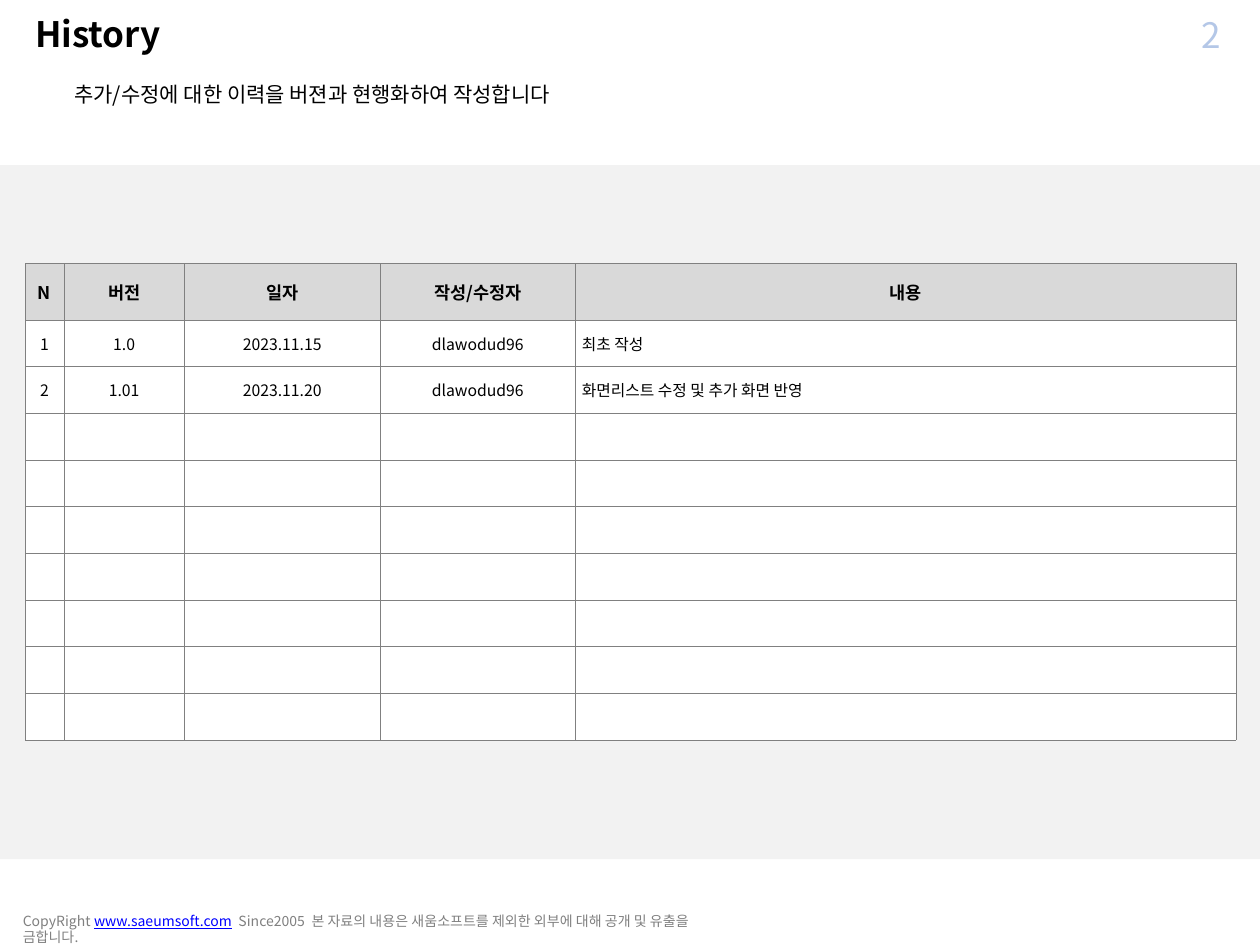
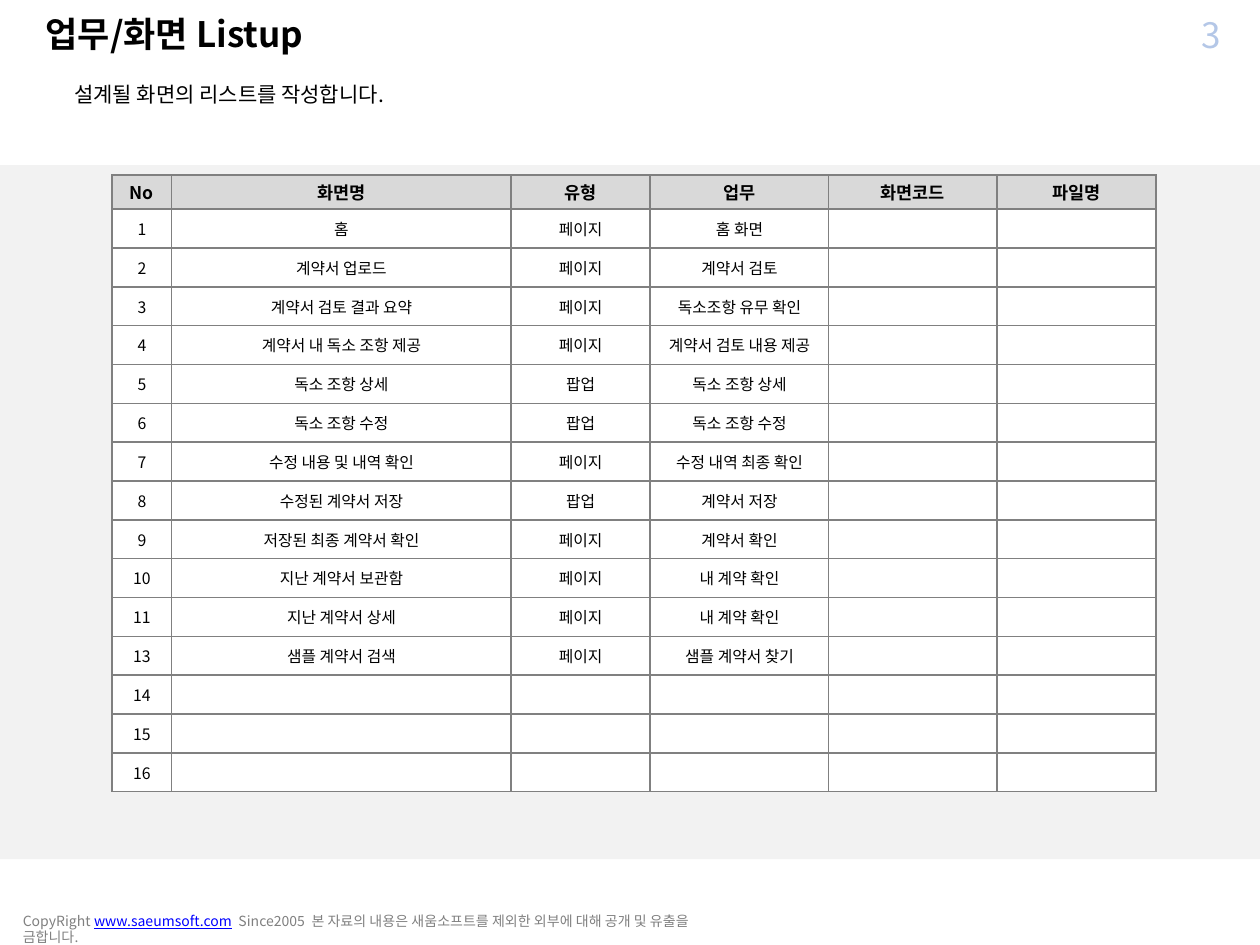
"""Build the history and screen-list pages of a screen design document."""
from dataclasses import dataclass

from lxml import etree
from pptx import Presentation
from pptx import util as u
from pptx.dml.color import RGBColor
from pptx.enum import shapes, text
from pptx.oxml.ns import qn


@dataclass(frozen=True)
class Theme:
    font: str = "Noto Sans CJK KR"
    ink: str = "000000"
    paper: str = "FFFFFF"
    band: str = "F2F2F2"
    header: str = "D9D9D9"
    grey: str = "808080"
    link: str = "0000FF"
    number: str = "B4C7E7"
    title_size: int = 20
    lead_size: int = 12
    header_size: int = 10
    body_size: int = 9
    footer_size: int = 8


theme = Theme()
LEFT, CENTER = text.PP_ALIGN.LEFT, text.PP_ALIGN.CENTER
TOP, MIDDLE = text.MSO_ANCHOR.TOP, text.MSO_ANCHOR.MIDDLE


def add_span(para, words, size, color, **extra):
    span = para.add_run()
    span.text = words
    formats = {"name": theme.font, "size": u.Pt(size), "bold": False, **extra}
    for name, value in formats.items():
        setattr(span.font, name, value)
    span.font.color.rgb = RGBColor.from_string(color)
    latin = span.font._element.find(qn("a:latin"))
    latin.addnext(latin.makeelement(qn("a:ea"), {"typeface": theme.font}))


def add_borders(cell, width):
    properties = cell._tc.get_or_add_tcPr()
    for position, side in enumerate(("lnL", "lnR", "lnT", "lnB")):
        line = etree.Element(qn(f"a:{side}"), w=str(u.Pt(width)))
        fill = etree.SubElement(line, qn("a:solidFill"))
        etree.SubElement(fill, qn("a:srgbClr"), val=theme.grey)
        properties.insert(position, line)


footer_spans = [
    ("CopyRight ", theme.grey, False),
    ("www.saeumsoft.com", theme.link, True),
    ("  Since2005  본 자료의 내용은 새움소프트를 제외한 외부에 대해 공개 및 유출을 금합니다.",
     theme.grey, False),
]

history = {
    "title": "History",
    "title_left": 16.5,
    "lead": "추가/수정에 대한 이력을 버젼과 현행화하여 작성합니다",
    "origin": (14.4, 150.6),
    "columns": [22, 69, 111.75, 111.75, 377.25],
    "heights": (32.2, 26.7),
    "border": 0.25,
    "left_column": 4,
    "header": ["N", "버전", "일자", "작성/수정자", "내용"],
    "rows": [
        ["1", "1.0", "2023.11.15", "dlawodud96", "최초 작성"],
        ["2", "1.01", "2023.11.20", "dlawodud96", "화면리스트 수정 및 추가 화면 반영"],
    ] + [[]] * 7,
}

screens = {
    "title": "업무/화면 Listup",
    "title_left": 22.5,
    "lead": "설계될 화면의 리스트를 작성합니다.",
    "origin": (64.1, 100.1),
    "columns": [34, 194, 79.5, 102, 96.25, 90.75],
    "heights": (19.4, 22.2),
    "border": 1,
    "left_column": None,
    "header": ["No", "화면명", "유형", "업무", "화면코드", "파일명"],
    "rows": [
        ["1", "홈", "페이지", "홈 화면"],
        ["2", "계약서 업로드", "페이지", "계약서 검토"],
        ["3", "계약서 검토 결과 요약", "페이지", "독소조항 유무 확인"],
        ["4", "계약서 내 독소 조항 제공", "페이지", "계약서 검토 내용 제공"],
        ["5", "독소 조항 상세", "팝업", "독소 조항 상세"],
        ["6", "독소 조항 수정", "팝업", "독소 조항 수정"],
        ["7", "수정 내용 및 내역 확인", "페이지", "수정 내역 최종 확인"],
        ["8", "수정된 계약서 저장", "팝업", "계약서 저장"],
        ["9", "저장된 최종 계약서 확인", "페이지", "계약서 확인"],
        ["10", "지난 계약서 보관함", "페이지", "내 계약 확인"],
        ["11", "지난 계약서 상세", "페이지", "내 계약 확인"],
        ["13", "샘플 계약서 검색", "페이지", "샘플 계약서 찾기"],
        ["14"], ["15"], ["16"],
    ],
}

deck = Presentation()
deck.slide_width, deck.slide_height = u.Pt(720), u.Pt(540)

for page_number, content in enumerate((history, screens), start=2):
    page = deck.slides.add_slide(deck.slide_layouts[6])

    band = page.shapes.add_shape(
        shapes.MSO_SHAPE.RECTANGLE, 0, u.Pt(94.3), deck.slide_width, u.Pt(396.7))
    band.shadow.inherit = False
    band.fill.solid()
    band.fill.fore_color.rgb = RGBColor.from_string(theme.band)
    band.line.fill.background()

    text_boxes = [
        ((9.4, 517.7, 406.8, 18), LEFT, TOP, theme.footer_size, False, footer_spans),
        ((683.3, 5, 18, 29.5), CENTER, MIDDLE, theme.title_size, False,
         [(str(page_number), theme.number, False)]),
        ((content["title_left"], 3.6, 180, 31), LEFT, TOP, theme.title_size, True,
         [(content["title"], theme.ink, False)]),
        ((38.9, 43.2, 645.8, 22.3), LEFT, TOP, theme.lead_size, False,
         [(content["lead"], theme.ink, False)]),
    ]
    for place, align, anchor, size, bold, spans in text_boxes:
        box = page.shapes.add_textbox(*map(u.Pt, place))
        frame_formats = {"word_wrap": align == LEFT, "vertical_anchor": anchor}
        for side in ("left", "right", "top", "bottom"):
            frame_formats[f"margin_{side}"] = u.Pt(3.6 if align == LEFT else 2.9)
        for name, value in frame_formats.items():
            setattr(box.text_frame, name, value)
        para = box.text_frame.paragraphs[0]
        para.alignment = align
        for words, color, underline in spans:
            add_span(para, words, size, color, bold=bold, underline=underline)

    rows = [content["header"]] + content["rows"]
    columns = content["columns"]
    header_height, row_height = content["heights"]
    table_height = header_height + row_height * len(content["rows"])
    table = page.shapes.add_table(
        len(rows), len(columns), *map(u.Pt, content["origin"]),
        u.Pt(sum(columns)), u.Pt(table_height)).table
    table.first_row = table.horz_banding = False
    for column, width in zip(table.columns, columns):
        column.width = u.Pt(width)

    for row_index, row in enumerate(rows):
        is_header = row_index == 0
        table.rows[row_index].height = u.Pt(header_height if is_header else row_height)
        size = theme.header_size if is_header else theme.body_size
        for column_index in range(len(columns)):
            cell = table.cell(row_index, column_index)
            cell_formats = {
                "vertical_anchor": MIDDLE,
                "margin_left": u.Pt(3.6), "margin_right": u.Pt(3.6),
                "margin_top": u.Pt(1), "margin_bottom": u.Pt(1),
            }
            for name, value in cell_formats.items():
                setattr(cell, name, value)
            cell.fill.solid()
            cell.fill.fore_color.rgb = RGBColor.from_string(
                theme.header if is_header else theme.paper)
            add_borders(cell, content["border"])
            para = cell.text_frame.paragraphs[0]
            is_left = column_index == content["left_column"] and not is_header
            para.alignment = LEFT if is_left else CENTER
            if column_index < len(row):
                add_span(para, row[column_index], size, theme.ink, bold=is_header)
            else:
                etree.SubElement(para._p, qn("a:endParaRPr"), sz=str(size * 100))

deck.save("out.pptx")
